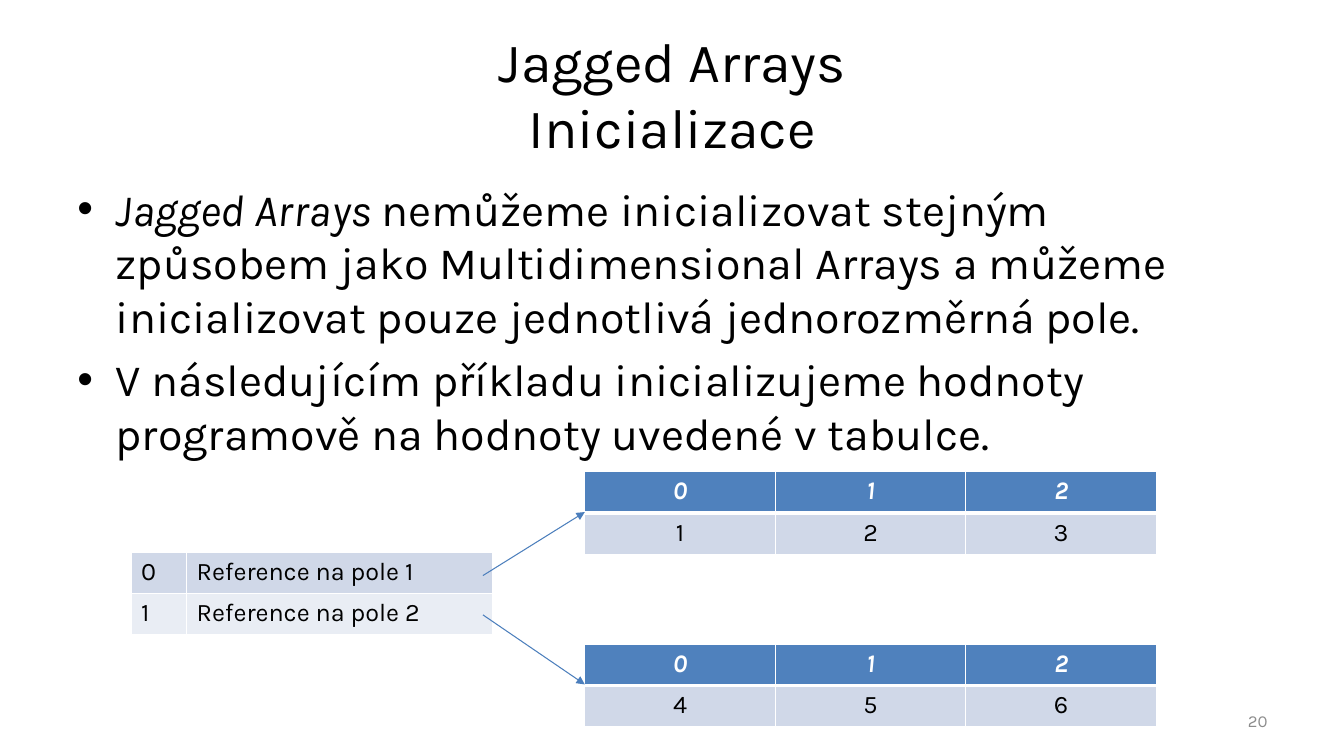
from dataclasses import dataclass

from lxml import etree
from pptx import Presentation
from pptx.dml.color import RGBColor
from pptx.enum.shapes import MSO_CONNECTOR
from pptx.enum.text import MSO_ANCHOR, PP_ALIGN
from pptx.oxml.ns import qn
from pptx.util import Pt

EMU_PER_PX = 9144  # 100 px to the inch
LEFT, CENTER, RIGHT = PP_ALIGN.LEFT, PP_ALIGN.CENTER, PP_ALIGN.RIGHT
TOP, MIDDLE = MSO_ANCHOR.TOP, MSO_ANCHOR.MIDDLE
STRAIGHT = MSO_CONNECTOR.STRAIGHT
ROW_HEIGHT = 41
BULLET_INDENT = 38


@dataclass(frozen=True)
class Theme:
    font: str = "Karla"
    text: str = "000000"
    light: str = "FFFFFF"
    muted: str = "8C8C8C"
    header: str = "4F81BD"
    band_dark: str = "D0D8E8"
    band_light: str = "E9EDF4"
    arrow: str = "4B7EBC"
    title_size: float = 39.6
    body_size: float = 32
    table_size: float = 18
    number_size: float = 12
    arrow_width: float = 0.75
    border: float = 1
    header_border: float = 3


THEME = Theme()


def px(length):
    return length * EMU_PER_PX


def add_element(parent, tag, **attributes):
    return etree.SubElement(parent, qn(tag), attributes)


def format_run(run, size, color, bold=False, italic=False):
    font = run.font
    font.name = THEME.font
    font.size = Pt(size)
    font.color.rgb = RGBColor.from_string(color)
    font.bold = bold
    font.italic = italic


def add_text_box(slide, box, anchor):
    shape = slide.shapes.add_textbox(*map(px, box))
    text_frame = shape.text_frame
    text_frame.word_wrap = True
    text_frame.vertical_anchor = anchor
    return text_frame


def add_label(slide, box, text, size, color, alignment):
    text_frame = add_text_box(slide, box, MIDDLE)
    text_frame.text = text
    paragraph = text_frame.paragraphs[0]
    paragraph.alignment = alignment
    for run in paragraph.runs:
        format_run(run, size, color)


def add_bullets(slide, box, bullets):
    """Each bullet is a list of (text, italic) pairs."""
    text_frame = add_text_box(slide, box, TOP)
    for index, parts in enumerate(bullets):
        paragraph = text_frame.add_paragraph() if index else text_frame.paragraphs[0]
        properties = paragraph._p.get_or_add_pPr()
        properties.set("marL", str(px(BULLET_INDENT)))
        properties.set("indent", str(-px(BULLET_INDENT)))
        add_element(properties, "a:buFont", typeface="Arial")
        add_element(properties, "a:buChar", char="•")
        if index:
            paragraph.space_before = Pt(THEME.body_size * 0.2)
        for text, italic in parts:
            run = paragraph.add_run()
            run.text = text
            format_run(run, THEME.body_size, THEME.text, italic=italic)


def set_borders(cell, top, bottom):
    properties = cell._tc.get_or_add_tcPr()
    widths = {"a:lnL": THEME.border, "a:lnR": THEME.border, "a:lnT": top, "a:lnB": bottom}
    for tag, width in widths.items():
        line = add_element(properties, tag, w=str(Pt(width)))
        fill = add_element(line, "a:solidFill")
        add_element(fill, "a:srgbClr", val=THEME.light)


def add_grid(slide, left, top, column_widths, rows, fills, alignment, has_header=False):
    size = (sum(column_widths), ROW_HEIGHT * len(rows))
    frame = slide.shapes.add_table(
        len(rows), len(column_widths), *map(px, (left, top, *size)))
    table = frame.table
    table.first_row = has_header
    table.horz_banding = False
    for column, width in zip(table.columns, column_widths):
        column.width = px(width)
    for row_index, (values, fill) in enumerate(zip(rows, fills)):
        table.rows[row_index].height = px(ROW_HEIGHT)
        is_header = has_header and row_index == 0
        below_header = has_header and row_index == 1
        for column_index, value in enumerate(values):
            cell = table.cell(row_index, column_index)
            set_borders(cell,
                        THEME.header_border if below_header else THEME.border,
                        THEME.header_border if is_header else THEME.border)
            cell.fill.solid()
            cell.fill.fore_color.rgb = RGBColor.from_string(fill)
            cell.text = value
            paragraph = cell.text_frame.paragraphs[0]
            paragraph.alignment = alignment
            format_run(paragraph.runs[0], THEME.table_size,
                       THEME.light if is_header else THEME.text, is_header, is_header)


def add_reference_table(slide, left, top):
    rows = [(str(index), f"Reference na pole {index + 1}") for index in range(2)]
    add_grid(slide, left, top, (55, 304), rows,
             (THEME.band_dark, THEME.band_light), LEFT)


def add_array_table(slide, left, top, values):
    """Indices in the header row, the values of one array below them."""
    rows = [[str(index) for index in range(len(values))], [str(value) for value in values]]
    add_grid(slide, left, top, [189] * len(values), rows,
             (THEME.header, THEME.band_dark), CENTER, has_header=True)


def add_arrow(slide, start, end):
    connector = slide.shapes.add_connector(STRAIGHT, *map(px, (*start, *end)))
    connector.line.color.rgb = RGBColor.from_string(THEME.arrow)
    connector.line.width = Pt(THEME.arrow_width)
    add_element(connector.line._get_or_add_ln(), "a:tailEnd", type="triangle")
    add_element(connector._element.spPr, "a:effectLst")


def add_array_diagram(slide, left, top):
    """The table of references, with an arrow from each row to its array."""
    array_left = left + 450
    add_reference_table(slide, left, top + 80)
    arrays = ((0, (1, 2, 3), 103), (171, (4, 5, 6), 142))
    for offset, values, _ in arrays:
        add_array_table(slide, array_left, top + offset, values)
    for offset, _, start in arrays:
        add_arrow(slide, (left + 349, top + start),
                  (array_left, top + offset + ROW_HEIGHT - 1))


def build_slide(presentation):
    slide = presentation.slides.add_slide(presentation.slide_layouts[6])
    add_label(slide, (67, 30, 1200, 125), "Jagged Arrays\vInicializace",
              THEME.title_size, THEME.text, CENTER)
    add_bullets(slide, (67, 175, 1200, 288), [
        [("Jagged Arrays ", True),
         ("nemůžeme inicializovat stejným způsobem jako Multidimensional Arrays "
          "a můžeme inicializovat pouze jednotlivá jednorozměrná pole.", False)],
        [("V následujícím příkladu inicializujeme hodnoty programově "
          "na hodnoty uvedené v tabulce.", False)],
    ])
    add_label(slide, (956, 695, 311, 40), "20", THEME.number_size, THEME.muted, RIGHT)
    add_array_diagram(slide, 130, 468)


def main():
    presentation = Presentation()
    presentation.slide_width = px(1333)
    presentation.slide_height = px(750)
    build_slide(presentation)
    presentation.save("out.pptx")


if __name__ == "__main__":
    main()
